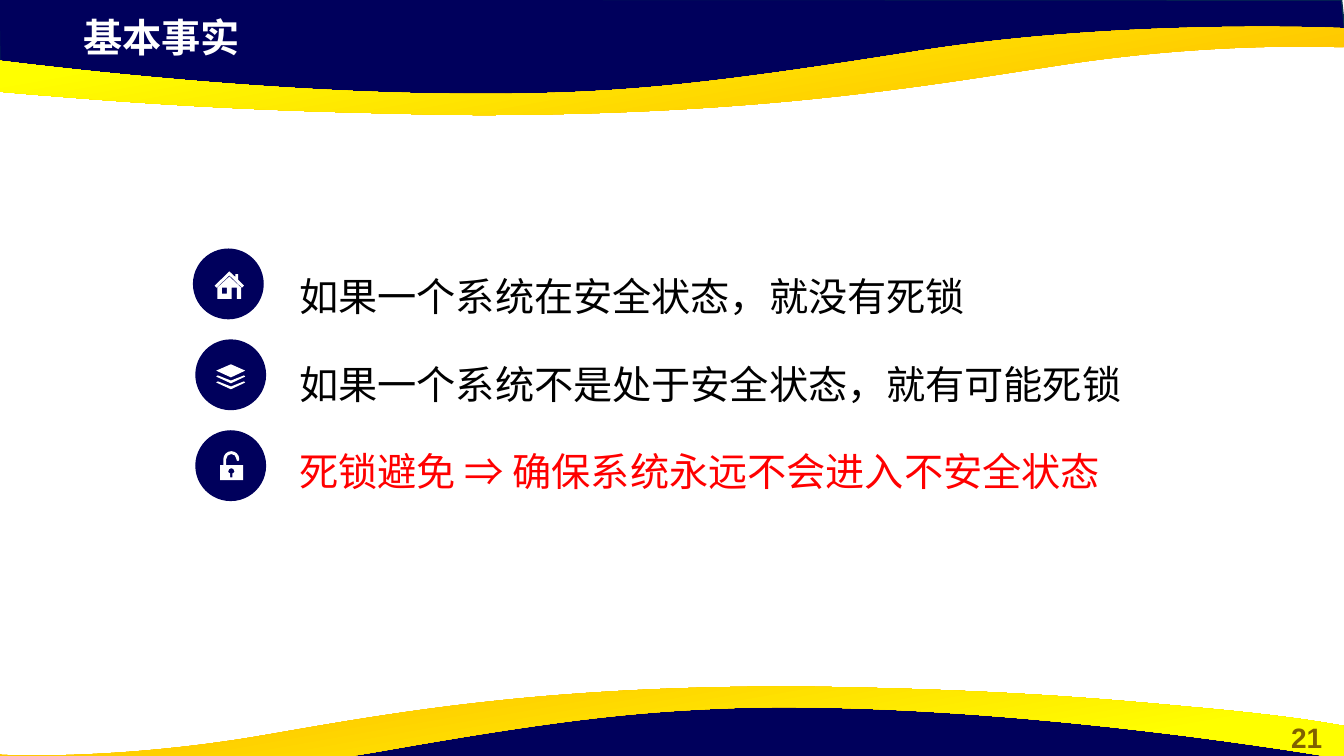
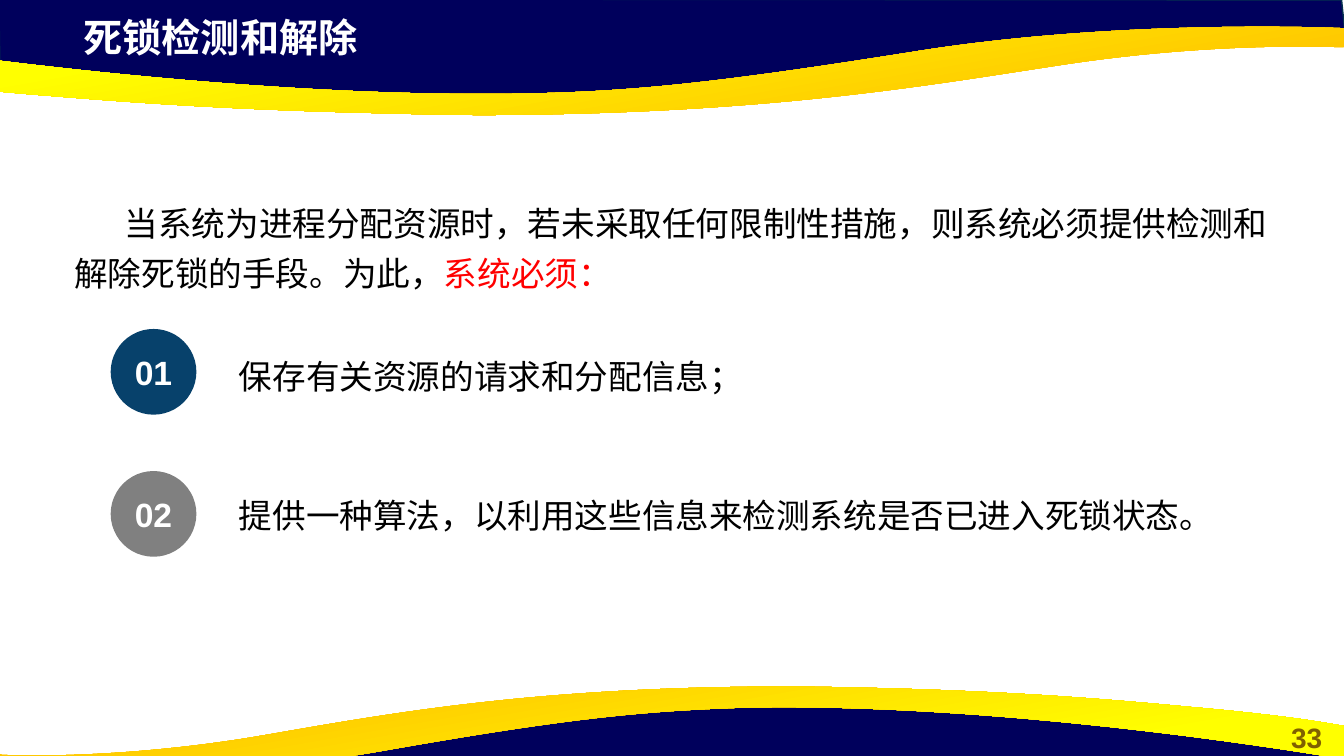
from lxml.etree import Element, SubElement
from pptx import Presentation
from pptx.dml.color import RGBColor
from pptx.enum.shapes import MSO_SHAPE
from pptx.enum.text import MSO_ANCHOR, MSO_AUTO_SIZE, PP_ALIGN
from pptx.oxml.ns import qn
from pptx.util import Cm, Pt

NAVY = RGBColor(0x00, 0x00, 0x5C)
EDGE = RGBColor(0x05, 0x30, 0x4F)
BLUE = RGBColor(0x07, 0x41, 0x6B)
GRAY = RGBColor(0x80, 0x80, 0x80)
GOLD = RGBColor(0xFF, 0xC0, 0x00)
YELLOW = RGBColor(0xFF, 0xFF, 0x00)
BROWN = RGBColor(0x80, 0x60, 0x00)
RED = RGBColor(0xFF, 0x00, 0x00)
BLACK = RGBColor(0x00, 0x00, 0x00)
WHITE = RGBColor(0xFF, 0xFF, 0xFF)

LATIN, HAN = "Arial", "Noto Sans CJK SC"
WIDE, HIGH = 33.87, 19.05

# Outlines in cm: two numbers are a corner, six are a Bezier curve.
TOP_NAVY = [(-0.03, -0.03), (0, 1.78), (7.44, 2.59), (14.2, 2.54), (20.19, 2.24),
            (25.81, 1.27), (31.45, 0.84), (33.91, 0.97), (33.81, 0)]
TOP_GOLD = [(12.27, 2.9),
            (11.25, 2.9, 10.19, 2.87, 9.04, 2.84),
            (5.23, 2.74, 2.79, 2.54, 0.91, 2.39),
            (-2.24, 2.13, -3.3, 1.91, -3.38, 1.91),
            (-3.38, 1.07),
            (-3.38, 1.07, 5.54, 2.49, 13.13, 2.36),
            (15.9, 2.31, 17.98, 2.11, 23.24, 1.27),
            (28.47, 0.46, 33.86, 0.71, 33.86, 0.71),
            (33.86, 1.19), (33.78, 1.19),
            (33.15, 1.17, 30.35, 1.09, 26.8, 1.63),
            (23.32, 2.16, 19.35, 2.87, 12.27, 2.9)]
LOW_NAVY = [(33.86, 20.17), (33.83, 18.39), (26.42, 17.55), (19.63, 17.6),
            (13.67, 17.93), (8.05, 18.87), (2.41, 19.3), (-0.08, 19.2),
            (0.03, 20.14)]
LOW_GOLD = [(19.61, 17.3),
            (20.55, 17.3, 21.51, 17.32, 22.56, 17.35),
            (26.04, 17.45, 28.24, 17.65, 29.95, 17.81),
            (32.82, 18.06, 33.78, 18.29, 33.86, 18.29),
            (33.86, 19.13),
            (33.86, 19.13, 25.76, 17.7, 18.85, 17.83),
            (16.31, 17.91, 14.4, 18.08, 9.65, 18.92),
            (4.88, 19.76, -0.03, 19.51, -0.03, 19.51),
            (-0.03, 19), (0.05, 19.02),
            (0.64, 19.05, 3.18, 19.1, 6.4, 18.57),
            (9.55, 18.03, 13.18, 17.32, 19.61, 17.3)]


def box(left, top, right, base):
    return [(left, top), (right, top), (right, base), (left, base)]


def fold(top):
    """A thin chevron that hints at a sheet below."""
    return [(0.51, top + 0.03), (0.55, top), (0.88, top + 0.13),
            (1.21, top), (1.24, top + 0.03), (0.88, top + 0.2)]


# Icon outlines in cm from the corner of their disc.
HOUSE = [
    [(0.53, 0.92), (0.9, 0.56), (1.05, 0.7), (1.05, 0.63), (1.12, 0.63),
     (1.12, 0.77), (1.27, 0.92), (1.22, 0.97), (0.9, 0.66), (0.58, 0.97)],
    [(0.6, 0.97), (0.9, 0.69), (1.2, 0.97), (1.2, 1.25), (1.09, 1.25),
     (1.09, 0.97), (0.96, 0.97), (0.96, 1.25), (0.6, 1.25)],
    box(0.71, 0.97, 0.84, 1.12)]
LAYERS = [[(0.51, 0.77), (0.88, 0.61), (1.24, 0.77), (0.88, 0.94)],
          fold(0.89), fold(1.04)]
LOCK = [
    box(0.61, 0.86, 1.19, 1.24),
    [(0.69, 0.86), (0.69, 0.71),
     (0.69, 0.6, 0.78, 0.51, 0.89, 0.51),
     (1, 0.51, 1.09, 0.6, 1.09, 0.71),
     (1.09, 0.73, 1.08, 0.76, 1.06, 0.76),
     (1.03, 0.76, 1.02, 0.74, 1.02, 0.71),
     (1.02, 0.64, 0.96, 0.58, 0.89, 0.58),
     (0.82, 0.58, 0.76, 0.64, 0.76, 0.71),
     (0.76, 0.86)],
    [(0.89, 0.94),
     (0.86, 0.94, 0.81, 0.96, 0.81, 1.02),
     (0.81, 1.04, 0.84, 1.07, 0.86, 1.07),
     (0.86, 1.17), (0.92, 1.17), (0.92, 1.07),
     (0.94, 1.07, 0.97, 1.04, 0.97, 1.02),
     (0.97, 0.96, 0.92, 0.94, 0.89, 0.94)]]


def bend(shape, parts):
    """Turn the straight steps of an outline into curves where parts ask."""
    trail = shape.element.find(".//" + qn("a:path"))
    steps = [step for step in trail if step.tag != qn("a:close")]
    left, top = (min(part[axis] for part in parts) for axis in (-2, -1))
    for step, part in zip(steps, parts):
        if len(part) == 6:
            step.tag = qn("a:cubicBezTo")
            for n in (0, 1):
                point = Element(qn("a:pt"))
                point.set("x", str(part[2 * n] - left))
                point.set("y", str(part[2 * n + 1] - top))
                step.insert(n, point)


def write(frame, text, size=24, color=BLACK, bold=False, align=PP_ALIGN.LEFT,
          line=None, gap=0, indent=0, join=False):
    """Add a paragraph, or with join a run at the end of the last one."""
    para, first = frame.paragraphs[-1], not frame.paragraphs[0].runs
    if not join:
        if not first:
            para = frame.add_paragraph()
        props = para._p.get_or_add_pPr()
        props.set("marL", "0")
        props.set("indent", str(int(Cm(indent))))
        SubElement(props, qn("a:buNone"))
        para.alignment = align
        para.space_before = Pt(0 if first else gap)
        para.space_after = Pt(gap)
        para.line_spacing = Pt(line) if line else 1.0
    run = para.add_run()
    run.text = text
    font = run.font
    font.size, font.bold, font.name = Pt(size), bold, LATIN
    font.color.rgb = color
    SubElement(font._element, qn("a:ea")).set("typeface", HAN)


class Deck:
    """Holds the shared style and the slide being built."""

    def __init__(self):
        self.show = Presentation()
        self.show.slide_width, self.show.slide_height = Cm(WIDE), Cm(HIGH)
        self.layout = self.show.slide_layouts[1]
        self.slide = None

    def start(self, title, page):
        first = self.slide is None
        self.slide = self.show.slides.add_slide(self.layout)
        if first:
            self.bands()
        head = self.place(self.slide.shapes.title, 1.85, 0.21, 19.5, 1.45)
        write(head, title, size=28, color=WHITE, bold=True)
        write(self.label(32, 18.02, 1.86, 1.1), page, size=20, color=BROWN,
              bold=True, align=PP_ALIGN.CENTER)

    def bands(self):
        """Draw the waves once and hand them to the layout."""
        waves = []
        for navy, gold, angle in ((TOP_NAVY, TOP_GOLD, 100),
                                  (LOW_NAVY, LOW_GOLD, 280)):
            dark = self.form([navy], NAVY)
            dark.line.color.rgb, dark.line.width = EDGE, Pt(1)
            wave = self.form([gold], GOLD)
            wave.fill.gradient()
            wave.fill.gradient_angle = angle
            for stop, place, color in zip(wave.fill.gradient_stops,
                                          (0.11, 0.78), (GOLD, YELLOW)):
                stop.position, stop.color.rgb = place, color
            waves += [dark, wave]
        tree = self.layout.shapes.element
        for n, wave in enumerate(waves):
            wave.element.nvSpPr.cNvPr.id = 50 + n
            tree.insert(2 + n, wave.element)

    def place(self, shape, left, top, width, height):
        """Move a text shape and return its frame, ready for text."""
        shape.left, shape.top = Cm(left), Cm(top)
        shape.width, shape.height = Cm(width), Cm(height)
        frame = shape.text_frame
        frame.word_wrap = True
        frame.auto_size = MSO_AUTO_SIZE.NONE
        frame.vertical_anchor = MSO_ANCHOR.TOP
        return frame

    def body(self, *area):
        return self.place(self.slide.placeholders[1], *area)

    def label(self, *area):
        return self.place(self.slide.shapes.add_textbox(0, 0, 0, 0), *area)

    def paint(self, shape, color):
        shape.shadow.inherit = False
        shape.fill.solid()
        shape.fill.fore_color.rgb = color
        shape.line.fill.background()
        return shape

    def form(self, rings, color, left=0, top=0):
        """Build one closed shape from rings of corners and curves in cm."""
        rings = [[tuple(round(100 * (value + (top if n % 2 else left)))
                        for n, value in enumerate(part)) for part in ring]
                 for ring in rings]
        pen = self.slide.shapes.build_freeform(*rings[0][0], scale=Cm(0.01))
        for n, ring in enumerate(rings):
            if n:
                pen.move_to(*ring[0])
            pen.add_line_segments([part[-2:] for part in ring[1:]], close=True)
        shape = pen.convert_to_shape()
        bend(shape, sum(rings, []))
        return self.paint(shape, color)

    def disc(self, left, top, size, color):
        shape = self.slide.shapes.add_shape(
            MSO_SHAPE.OVAL, Cm(left), Cm(top), Cm(size), Cm(size))
        return self.paint(shape, color)

    def icon(self, left, top, rings):
        disc = self.disc(left, top, 1.75, NAVY)
        disc.line.color.rgb, disc.line.width = NAVY, Pt(1)
        self.form(rings, WHITE, left, top)

    def badge(self, left, top, text, color):
        frame = self.disc(left, top, 2.16, color).text_frame
        frame.vertical_anchor = MSO_ANCHOR.MIDDLE
        write(frame, text, color=WHITE, bold=True, align=PP_ALIGN.CENTER)


def facts(deck):
    deck.start("基本事实", "21")
    frame = deck.body(7.29, 6.14, 23.98, 6.3)
    for text, color in (("如果一个系统在安全状态，就没有死锁", BLACK),
                        ("如果一个系统不是处于安全状态，就有可能死锁", BLACK),
                        ("死锁避免 ⇒ 确保系统永远不会进入不安全状态", RED)):
        write(frame, text, size=28, color=color, line=50.5, gap=6)
    for row, (left, rings) in enumerate(((4.88, HOUSE), (4.94, LAYERS), (4.94, LOCK))):
        deck.icon(left, 6.28 + 2.29 * row, rings)


def detect(deck):
    deck.start("死锁检测和解除", "33")
    frame = deck.body(1.62, 4.74, 30.7, 3)
    write(frame, "当系统为进程分配资源时，若未采取任何限制性措施，"
          "则系统必须提供检测和解除死锁的手段。为此，", line=35.7, gap=6, indent=1.27)
    write(frame, "系统必须：", color=RED, join=True)
    for row, (mark, color, text) in enumerate((
            ("01", BLUE, "保存有关资源的请求和分配信息；"),
            ("02", GRAY, "提供一种算法，以利用这些信息来检测系统是否已进入死锁状态。"))):
        deck.badge(2.79, 8.29 + 3.58 * row, mark, color)
        write(deck.label(5.77, 8.59 + 3.51 * row, 25.6, 1.68), text, line=35.7, gap=6)


def main():
    deck = Deck()
    facts(deck)
    detect(deck)
    deck.show.save("out.pptx")


if __name__ == "__main__":
    main()
